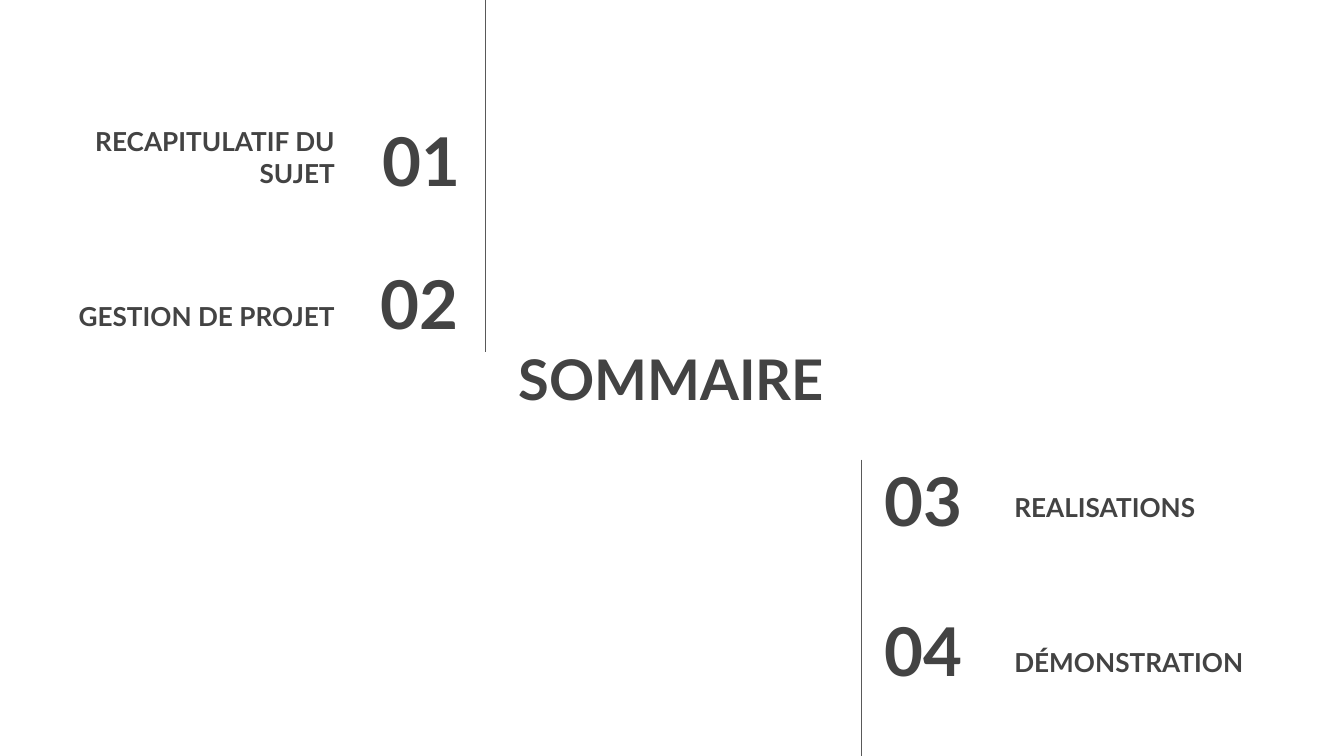
from pptx import Presentation
from pptx.dml.color import RGBColor
from pptx.enum import shapes, text
from pptx.oxml.ns import qn
from pptx.util import Cm, Pt
from lxml import etree

LEFT, CENTER, RIGHT = text.PP_ALIGN.LEFT, text.PP_ALIGN.CENTER, text.PP_ALIGN.RIGHT
MIDDLE, BOTTOM = text.MSO_ANCHOR.MIDDLE, text.MSO_ANCHOR.BOTTOM
ROW_HEIGHT = 1.6


def color(value):
    return RGBColor.from_string(value)


def write(box, wording, size, align, anchor):
    """Fill a box with one bold line of heading text."""
    frame = box.text_frame
    frame.word_wrap = True
    frame.auto_size = text.MSO_AUTO_SIZE.NONE
    frame.vertical_anchor = anchor
    frame.margin_left = frame.margin_right = Cm(0.25)
    frame.margin_top = frame.margin_bottom = Cm(0.25)
    para = frame.paragraphs[0]
    para.alignment = align
    para.line_spacing = 1.0
    span = para.add_run()
    span.text = wording
    span.font.name = "Lato"
    span.font.size = Pt(size)
    span.font.bold = True
    span.font.color.rgb = color("434343")


deck = Presentation()
deck.slide_width, deck.slide_height = Cm(25.4), Cm(14.29)
page = deck.slides.add_slide(deck.slide_layouts[5])
page.background.fill.solid()
page.background.fill.fore_color.rgb = color("FFFFFF")

title = page.shapes.title
title.left, title.top, title.width, title.height = Cm(9.4), Cm(5.84), Cm(6.58), Cm(2.62)
write(title, "SOMMAIRE", 30, CENTER, MIDDLE)

# Number and label: text, left, top, width of each; then the shared alignment
chapters = [
    (("01", 5.89, 2.21, 3.07), ("RECAPITULATIF DU SUJET", 0.64, 2.21, 5.94), RIGHT),
    (("02", 5.84, 4.93, 3.07), ("GESTION DE PROJET", 1.09, 4.93, 5.49), RIGHT),
    (("03", 16.46, 8.64, 2.97), ("REALISATIONS", 18.92, 8.53, 5.49), LEFT),
    (("04", 16.46, 11.48, 2.97), ("DÉMONSTRATION", 18.92, 11.46, 5.49), LEFT),
]
for number, label, align in chapters:
    for (wording, left, top, width), size, anchor in ((number, 36, MIDDLE), (label, 14, BOTTOM)):
        box = page.shapes.add_textbox(Cm(left), Cm(top), Cm(width), Cm(ROW_HEIGHT))
        write(box, wording, size, align, anchor)

for x, top, bottom in ((9.17, 0, 6.65), (16.28, 8.69, 14.29)):
    divider = page.shapes.add_connector(
        shapes.MSO_CONNECTOR.STRAIGHT, Cm(x), Cm(top), Cm(x), Cm(bottom))
    divider.line.color.rgb = color("595959")
    divider.line.width = Pt(0.75)
    etree.SubElement(divider._element.spPr, qn("a:effectLst"))

deck.save("out.pptx")
